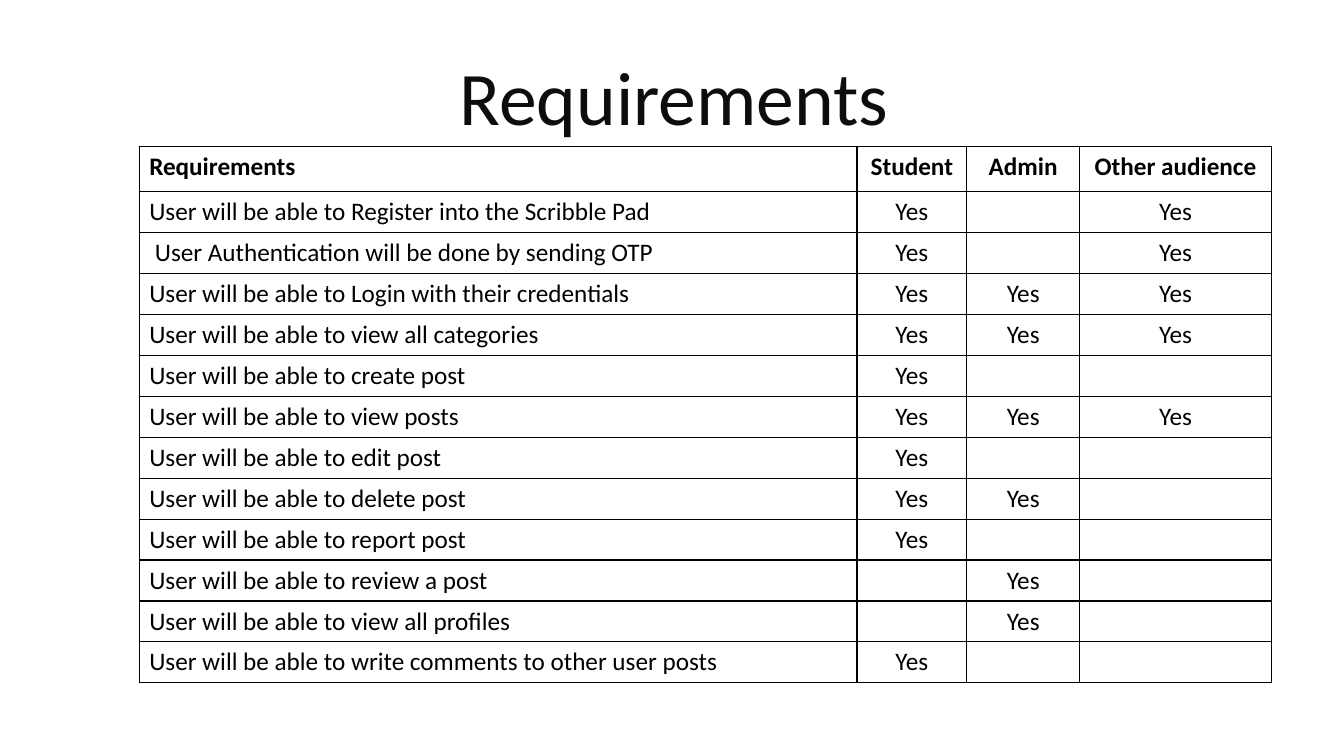
"""Build a slide with a table of requirements by audience."""
from lxml import etree
from pptx import Presentation
from pptx.dml.color import RGBColor
from pptx.enum.text import MSO_ANCHOR, PP_ALIGN
from pptx.oxml.ns import qn
from pptx.util import Pt

LEFT, CENTER = PP_ALIGN.LEFT, PP_ALIGN.CENTER
TOP = MSO_ANCHOR.TOP

TITLE = "Requirements"
AUDIENCES = ("Student", "Admin", "Other audience")
REQUIREMENTS = [
    ("User will be able to Register into the Scribble Pad", {"Student", "Other audience"}),
    (" User Authentication will be done by sending OTP", {"Student", "Other audience"}),
    ("User will be able to Login with their credentials", set(AUDIENCES)),
    ("User will be able to view all categories", set(AUDIENCES)),
    ("User will be able to create post", {"Student"}),
    ("User will be able to view posts", set(AUDIENCES)),
    ("User will be able to edit post", {"Student"}),
    ("User will be able to delete post", {"Student", "Admin"}),
    ("User will be able to report post", {"Student"}),
    ("User will be able to review a post", {"Admin"}),
    ("User will be able to view all profiles", {"Admin"}),
    ("User will be able to write comments to other user posts", {"Student"}),
]

THEME = {
    "font": "Calibri",
    "title": {"size": Pt(54), "color": "0D0D0D"},
    "table": {"size": Pt(18), "color": "000000"},
    "border": "000000",
    "background": "FFFFFF",
}
SLIDE_SIZE = (960, 540)
TITLE_BOX = (57.6, 39.6, 848, 130.3)
TITLE_FRAME = {"word_wrap": True, "vertical_anchor": TOP, "margin_top": Pt(6.2)}
TITLE_PARAGRAPH = {"alignment": CENTER, "line_spacing": 0.85, "space_after": Pt(6)}
TABLE_ORIGIN = (99.4, 104.6)
COLUMN_WIDTHS = (512.7, 78.5, 80.6, 137)
HEADER_HEIGHT, ROW_HEIGHT = 32.4, 29.25
BORDER_WIDTH = Pt(1)


def apply(target, formats):
    """Set each named attribute of target."""
    for name, value in formats.items():
        setattr(target, name, value)


def write(paragraph, text, style, bold=False):
    """Add text to a paragraph in a theme style."""
    font = paragraph.add_run().font if not text else None
    if font is None:
        run = paragraph.add_run()
        run.text = text
        font = run.font
    apply(font, {"name": THEME["font"], "size": style["size"], "bold": bold})
    font.color.rgb = RGBColor.from_string(style["color"])


def outline(cell):
    """Draw the four borders of a cell."""
    properties = cell._tc.get_or_add_tcPr()
    for side in ("lnL", "lnR", "lnT", "lnB"):
        line = etree.SubElement(properties, qn(f"a:{side}"), w=str(BORDER_WIDTH))
        fill = etree.SubElement(line, qn("a:solidFill"))
        etree.SubElement(fill, qn("a:srgbClr"), val=THEME["border"])


def add_title(slide):
    """Place the slide title."""
    frame = slide.shapes.add_textbox(*map(Pt, TITLE_BOX)).text_frame
    apply(frame, TITLE_FRAME)
    heading = frame.paragraphs[0]
    apply(heading, TITLE_PARAGRAPH)
    write(heading, TITLE, THEME["title"])


def add_requirements(slide):
    """Place the table of requirements."""
    rows = [(TITLE, *AUDIENCES)] + [
        (need, *("Yes" if audience in allowed else "" for audience in AUDIENCES))
        for need, allowed in REQUIREMENTS
    ]
    heights = [HEADER_HEIGHT] + [ROW_HEIGHT] * len(REQUIREMENTS)
    size = (sum(COLUMN_WIDTHS), sum(heights))
    table = slide.shapes.add_table(
        len(rows), len(COLUMN_WIDTHS), *map(Pt, TABLE_ORIGIN + size)
    ).table
    apply(table, {"first_row": False, "horz_banding": False})
    for column, width in zip(table.columns, COLUMN_WIDTHS):
        column.width = Pt(width)
    for row_index, (texts, height) in enumerate(zip(rows, heights)):
        table.rows[row_index].height = Pt(height)
        for column_index, text in enumerate(texts):
            cell = table.cell(row_index, column_index)
            outline(cell)
            cell.fill.background()
            entry = cell.text_frame.paragraphs[0]
            entry.alignment = CENTER if column_index else LEFT
            if text:
                write(entry, text, THEME["table"], bold=row_index == 0)


def main():
    """Save the finished slide."""
    deck = Presentation()
    deck.slide_width, deck.slide_height = map(Pt, SLIDE_SIZE)
    slide = deck.slides.add_slide(deck.slide_layouts[6])
    background = slide.background.fill
    background.solid()
    background.fore_color.rgb = RGBColor.from_string(THEME["background"])
    add_title(slide)
    add_requirements(slide)
    deck.save("out.pptx")


if __name__ == "__main__":
    main()
